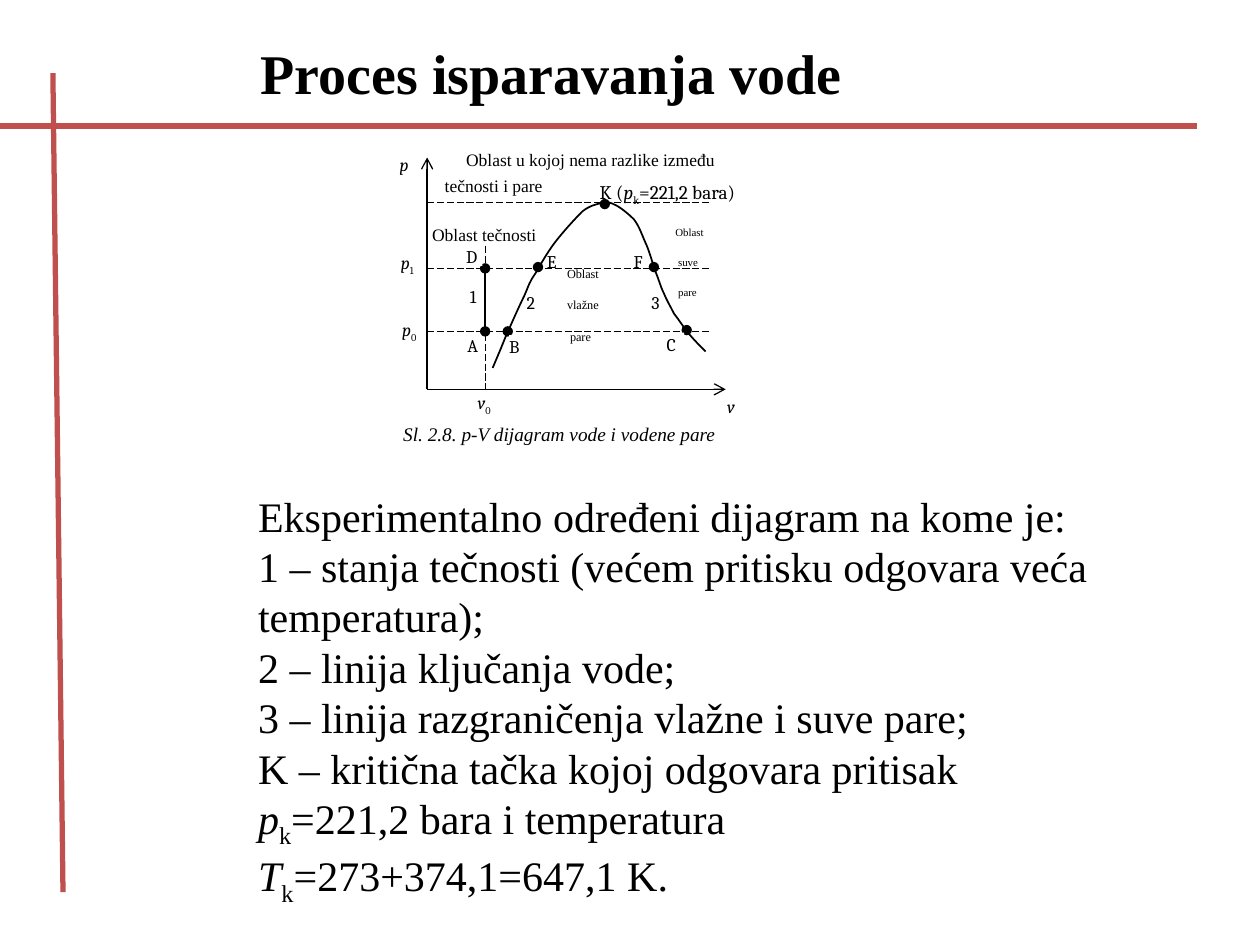
from dataclasses import dataclass

from lxml import etree
from pptx import Presentation
from pptx.dml.color import RGBColor
from pptx.enum.dml import MSO_LINE
from pptx.enum.shapes import MSO_CONNECTOR, MSO_SHAPE
from pptx.enum.text import MSO_ANCHOR, MSO_AUTO_SIZE, PP_ALIGN
from pptx.oxml.ns import qn
from pptx.util import Inches, Pt

RED = RGBColor(0xC0, 0x50, 0x4D)
BLACK = RGBColor(0, 0, 0)
WHITE = RGBColor(255, 255, 255)
DASH = MSO_LINE.LONG_DASH
STRAIGHT = MSO_CONNECTOR.STRAIGHT
RECT = MSO_SHAPE.RECTANGLE
TOP = MSO_ANCHOR.TOP
LEFT = PP_ALIGN.LEFT
GROW = MSO_AUTO_SIZE.SHAPE_TO_FIT_TEXT
TIMES, CAMBRIA = "Times New Roman", "Cambria"
ITAL, SUB = {"ital": True}, {"sub": True}


def cell(num):
    """Turn a count of grid cells, 100 across and 75 down, into a length."""
    return Inches(num / 10)


def write(par, text, size=10.2, font=TIMES, bold=False, ital=False, sub=False):
    """Add one run of text in the given format."""
    run = par.add_run()
    run.text = text
    face = run.font
    face.size, face.name = Pt(size), font
    face.bold, face.italic = bold, ital
    face.color.rgb = BLACK
    if sub:
        run._r.get_or_add_rPr().set("baseline", "-25000")


@dataclass
class Board:
    """Draws styled elements on one slide."""

    slide: object
    ink: RGBColor = BLACK
    thin: float = 0.5
    mid: float = 0.75
    bold: float = 1

    def line(self, start, end, width, color=None, dash=None, tip=None):
        """Draw a straight line with an optional tip at its end."""
        ends = [cell(num) for num in (*start, *end)]
        item = self.slide.shapes.add_connector(STRAIGHT, *ends)
        item.line.color.rgb = color or self.ink
        item.line.width = Pt(width)
        if dash:
            item.line.dash_style = dash
        if tip:
            tail = etree.SubElement(item.line._get_or_add_ln(), qn("a:tailEnd"))
            tail.set("type", tip)
        etree.SubElement(item._element.spPr, qn("a:effectLst"))

    def dot(self, x, y):
        """Mark a point of state."""
        self.line((x, y + 0.1), (x, y), self.mid, tip="oval")

    def curve(self, points):
        """Draw a chain of cubic arcs, three points to each arc."""
        first, *rest = [(cell(x), cell(y)) for x, y in points]
        pen = self.slide.shapes.build_freeform(*first)
        pen.add_line_segments(rest, close=False)
        item = pen.convert_to_shape()
        item.shadow.inherit = False
        item.fill.background()
        item.line.color.rgb = self.ink
        item.line.width = Pt(self.bold)
        track = next(item._element.iter(qn("a:path")))
        steps = track.findall(qn("a:lnTo"))
        for index in range(0, len(steps), 3):
            arc = etree.SubElement(track, qn("a:cubicBezTo"))
            for step in steps[index:index + 3]:
                arc.append(step[0])
                track.remove(step)

    def text(self, box, pars, space=None, after=0, inset=(0, 0), shifts=(),
             fill=None, wrap=True, grow=False, **style):
        """Place paragraphs, each a list of (text, format) runs."""
        area = [cell(num) for num in box]
        shapes = self.slide.shapes
        if fill:
            item = shapes.add_shape(RECT, *area)
            item.shadow.inherit = False
            item.fill.solid()
            item.fill.fore_color.rgb = fill
            item.line.fill.background()
        else:
            item = shapes.add_textbox(*area)
        frame = item.text_frame
        frame.margin_left = frame.margin_right = cell(inset[0])
        frame.margin_top = frame.margin_bottom = cell(inset[1])
        frame.word_wrap = wrap
        frame.vertical_anchor = TOP
        if grow:
            frame.auto_size = GROW
        for index, runs in enumerate(pars):
            par = frame.add_paragraph() if index else frame.paragraphs[0]
            par.alignment = LEFT
            par.space_after = Pt(after)
            if space:
                par.line_spacing = space
            if shifts and shifts[index]:
                par._p.get_or_add_pPr().set("marL", str(cell(shifts[index])))
            for text, form in runs:
                write(par, text, **{**style, **form})

    def label(self, box, *runs, space=1.05, font=CAMBRIA, **style):
        """Place a one-paragraph label without margins."""
        self.text(box, [runs], space=space, after=10, font=font, **style)


def frame(board):
    """Draw the red rules and the title."""
    board.line((0, 10), (95, 10), 3, RED)
    board.line((4.2, 5.8), (5, 70.8), 3, RED)
    board.text((19.7, 2.6, 48.2, 6.4), [[("Proces isparavanja vode", {})]],
               inset=(1, 0.5), wrap=False, grow=True, size=32, bold=True)


def graph(board):
    """Draw axes, guides, the saturation curve and its points."""
    left, base, cold = 33.9, 30.9, 38.5
    high, low = 21.3, 26.3
    board.line((left, base), (left, 12.5), board.mid, tip="arrow")
    board.line((left, base), (57.6, base), board.mid, tip="arrow")
    for y in (16.1, high, low):
        board.line((left, y), (56.3, y), board.thin, dash=DASH)
    board.line((cold, 19.5), (cold, base), board.thin, dash=DASH)
    board.curve([
        (39.1, 29.2), (39.4, 28.5), (39.7, 27.8), (40.1, 26.8),
        (40.5, 25.9), (41.2, 24.3), (41.6, 23.5),
        (42, 22.6), (42, 22.4), (42.5, 21.7),
        (42.9, 21), (43.4, 20.1), (44, 19.3),
        (44.6, 18.5), (45.6, 17.4), (46.2, 16.8),
        (46.8, 16.3), (47.4, 16.2), (47.8, 16.1),
        (48.3, 16), (48.5, 16.1), (48.9, 16.3),
        (49.3, 16.5), (49.9, 17), (50.3, 17.4),
        (50.7, 17.9), (50.9, 18.5), (51.2, 19.2),
        (51.5, 19.8), (51.8, 20.9), (52, 21.5),
        (52.3, 22.2), (52.4, 22.7), (52.7, 23.3),
        (52.9, 23.8), (53.2, 24.3), (53.5, 24.9),
        (53.9, 25.4), (54.2, 25.9), (54.6, 26.4),
        (55, 26.9), (55.7, 27.6), (56, 27.9)])
    board.line((cold, high), (cold, low), board.bold)
    for x, y in ((42.7, 21.2), (cold, high), (51.9, 21.2), (cold, low),
                 (40.3, low), (54.5, 26.2), (48, 16.2)):
        board.dot(x, y)


def names(board):
    """Label the points, lines, regions and axes."""
    board.label((47.6, 14, 23.2, 2.6), ("K (", {}), ("p", ITAL), ("k", SUB),
                ("=221,2 bara)", {}), space=1.15, size=11)
    for text, x, y, wide, fill in (
            ("E", 43.4, 19.8, 1, None), ("D", 37, 19.4, 1.3, WHITE),
            ("F", 50.3, 19.8, 1.4, None), ("B", 40.4, 26.6, 1.4, WHITE),
            ("A", 37.1, 26.5, 1.1, WHITE), ("C", 52.9, 26.4, 1.4, WHITE),
            ("1", 37.3, 22.6, 1, None), ("3", 51.7, 23.1, 1, None),
            ("2", 41.8, 23.1, 1, None)):
        board.label((x, y, wide, 1.7), (text, {}), fill=fill)
    for text, box, space in (
            ("Oblast tečnosti", (34.3, 17.7, 10.1, 1.7), 1.05),
            ("Oblast u kojoj nema razlike između", (37, 11.6, 53, 2.6), 1.15),
            ("tečnosti i pare", (35.3, 13.8, 10.7, 1.7), 1.05)):
        board.label(box, (text, {}), space=space, font=TIMES, size=10)
    for kind, box, size, shifts in (
            ("vlažne", (45, 21.2, 4.8, 5.6), 7, (0, 0, 0.24)),
            ("suve", (53.6, 18, 4.3, 5.3), 6.2, (0, 0.22, 0.22))):
        board.text(box, [[(word, {})] for word in ("Oblast", kind, "pare")],
                   space=0.95, after=10, size=size, shifts=shifts)
    for text, sub, x, y, wide, fill in (
            ("p", "", 31.4, 12.1, 1.7, WHITE), ("p", "1", 31.5, 20, 1.9, WHITE),
            ("p", "0", 31.6, 25.3, 1.9, WHITE), ("v", "0", 37.6, 31.1, 1.9, WHITE),
            ("v", "", 57.4, 31.3, 1.6, None)):
        runs = [(text, ITAL)] + ([(sub, SUB)] if sub else [])
        board.label((x, y, wide, 1.9), *runs, space=0.95 if sub else 1.05,
                    fill=fill, shifts=(0.31,))
    board.label((32, 33.2, 43, 3.5), ("Sl. 2.8. p-V dijagram vode i vodene pare", ITAL),
                space=1.15, font=TIMES, size=11)


def notes(board):
    """Write the explanation under the graph."""
    lines = ("Eksperimentalno određeni dijagram na kome je:",
             "1 – stanja tečnosti (većem pritisku odgovara veća temperatura);",
             "2 – linija ključanja vode;",
             "3 – linija razgraničenja vlažne i suve pare;")
    last = [("K – kritična tačka kojoj odgovara pritisak ", {}), ("p", ITAL), ("k", SUB),
            ("=221,2 bara i temperatura ", {}), ("T", ITAL), ("k", SUB),
            ("=273+374,1=647,1 K.", {})]
    board.text((19.5, 38.4, 68, 38.1), [[(text, {})] for text in lines] + [last],
               inset=(1, 0.5), grow=True, size=24)


def main():
    """Build the slide and save it."""
    deck = Presentation()
    deck.slide_width, deck.slide_height = cell(100), cell(75)
    board = Board(deck.slides.add_slide(deck.slide_layouts[6]))
    for part in (frame, graph, names, notes):
        part(board)
    deck.save("out.pptx")


if __name__ == "__main__":
    main()
